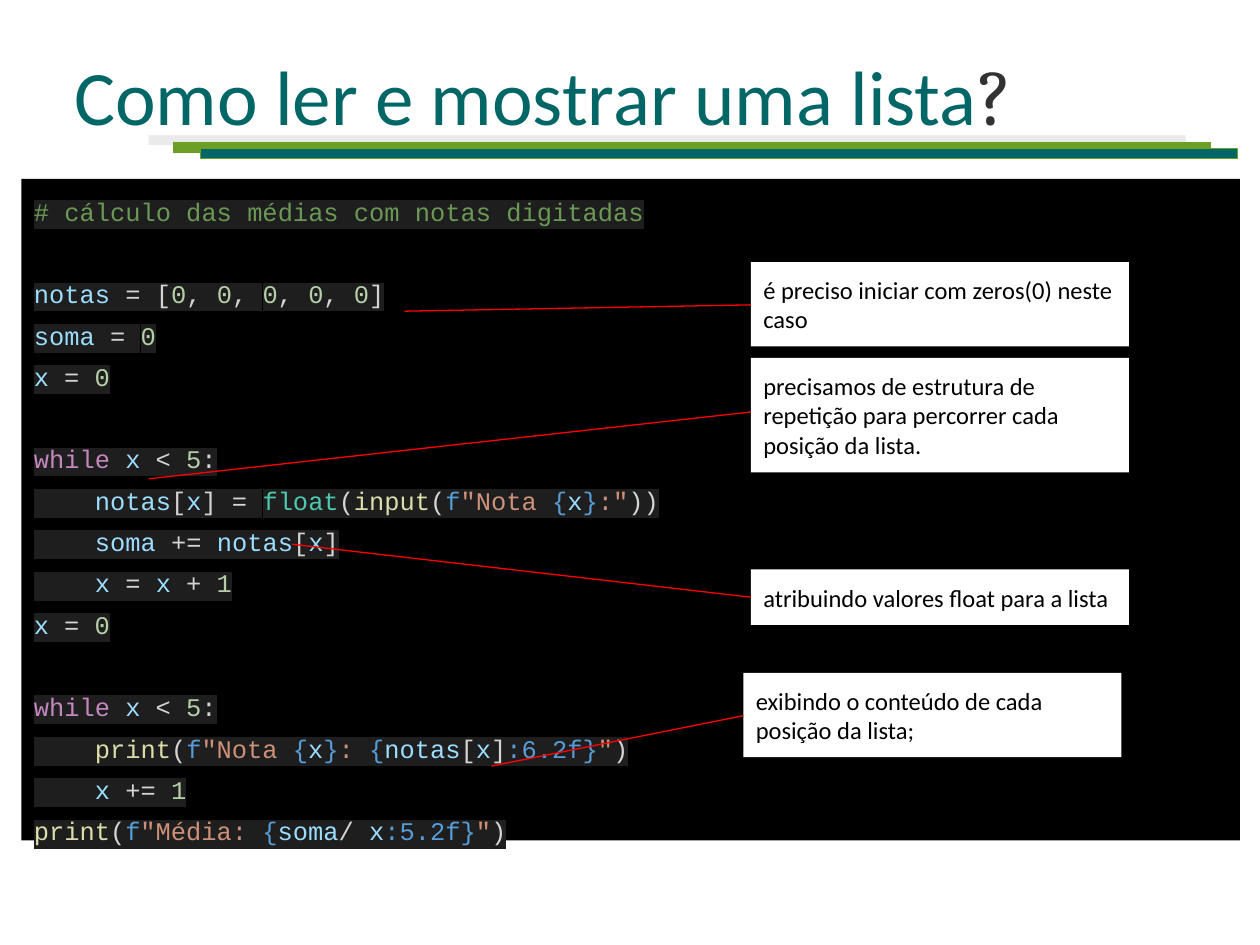
"""Builds the slide on reading and showing a list in Python."""
from lxml import etree
from pptx import Presentation
from pptx import util as u
from pptx.dml.color import RGBColor
from pptx.enum import shapes, text
from pptx.oxml.ns import qn

COLORS = {
    "teal": "006666", "green": "6B9F25", "grey": "EAEAEA", "dark": "323232",
    "black": "000000", "white": "FFFFFF", "red": "FF0000", "shade": "1E1E1E",
    "comment": "6A9955", "var": "9CDCFE", "plain": "D4D4D4", "num": "B5CEA8",
    "key": "C586C0", "type": "4EC9B0", "func": "DCDCAA", "fmt": "569CD6",
    "str": "CE9178",
}

TITLE = [
    ("Como ler e mostrar uma lista", dict(size=44, font="Calibri", color="teal")),
    ("?", dict(size=46, font="Cambria", color="dark")),
]

BARS = [(1.18, 1.07, "grey", None), (1.38, 1.13, "green", "green"),
        (1.59, 1.18, "teal", "green")]

INDENT = ("plain", "    ")
RESET = [("var", "x"), ("plain", " = "), ("num", "0")]
LOOP = [("key", "while"), ("plain", " "), ("var", "x"), ("plain", " < "),
        ("num", "5"), ("plain", ":")]
ITEM = [("var", "notas"), ("plain", "["), ("var", "x")]
PROMPT = [("fmt", "f"), ("str", '"Nota '), ("fmt", "{"), ("var", "x"), ("fmt", "}")]
ZEROS = [("num", "0"), ("plain", ", ")] * 4 + [("num", "0")]

CODE_BLOCKS = [
    [[("comment", "# cálculo das médias com notas digitadas")]],
    [
        [("var", "notas"), ("plain", " = ["), *ZEROS, ("plain", "]")],
        [("var", "soma"), ("plain", " = "), ("num", "0")],
        RESET,
    ],
    [
        LOOP,
        [INDENT, *ITEM, ("plain", "] = "), ("type", "float"), ("plain", "("),
         ("func", "input"), ("plain", "("), *PROMPT, ("str", ':"'), ("plain", "))")],
        [INDENT, ("var", "soma"), ("plain", " += "), *ITEM, ("plain", "]")],
        [INDENT, ("var", "x"), ("plain", " = "), ("var", "x"), ("plain", " + "),
         ("num", "1")],
        RESET,
    ],
    [
        LOOP,
        [INDENT, ("func", "print"), ("plain", "("), *PROMPT, ("str", ": "),
         ("fmt", "{"), *ITEM, ("plain", "]"), ("fmt", ":6.2f}"), ("str", '"'),
         ("plain", ")")],
        [INDENT, ("var", "x"), ("plain", " += "), ("num", "1")],
        [("func", "print"), ("plain", "("), ("fmt", "f"), ("str", '"Média: '),
         ("fmt", "{"), ("var", "soma"), ("plain", "/ "), ("var", "x"),
         ("fmt", ":5.2f}"), ("str", '"'), ("plain", ")")],
    ],
]
CODE_SIZE, CODE_SPACING, BLOCK_GAP = 14.5, 1.36, 23.3

CALLOUTS = [
    ("é preciso iniciar com zeros(0) neste caso",
     (5.96, 2.08, 0.67), (3.21, 2.47), 2.42),
    ("precisamos de estrutura de repetição para percorrer cada posição da lista.",
     (5.96, 2.84, 0.91), (1.18, 3.8), 3.27),
    ("exibindo o conteúdo de cada posição da lista;",
     (5.9, 5.34, 0.67), (3.9, 6.08), 5.68),
    ("atribuindo valores float para a lista",
     (5.96, 4.52, 0.44), (2.32, 4.32), 4.74),
]


def rgb(name):
    return RGBColor.from_string(COLORS[name])


def add_text(paragraph, words, size=14, font="Calibri", color="black", highlight=None):
    run = paragraph.add_run()
    run.text = words
    run.font.size = u.Pt(size)
    run.font.name = font
    run.font.color.rgb = rgb(color)
    if highlight:
        mark = etree.Element(qn("a:highlight"))
        etree.SubElement(mark, qn("a:srgbClr")).set("val", COLORS[highlight])
        run.font._element.find(qn("a:solidFill")).addnext(mark)


def set_frame(frame, anchor, inset):
    frame.word_wrap = True
    frame.vertical_anchor = anchor
    frame.margin_left = frame.margin_right = u.Inches(0.1)
    frame.margin_top = frame.margin_bottom = u.Inches(inset)
    frame.paragraphs[0].alignment = text.PP_ALIGN.LEFT


def add_box(slide, place, fill, line=None):
    box = slide.shapes.add_shape(shapes.MSO_SHAPE.RECTANGLE, *map(u.Inches, place))
    box.shadow.inherit = False
    box.fill.solid()
    box.fill.fore_color.rgb = rgb(fill)
    if line:
        box.line.color.rgb = rgb(line)
        box.line.width = u.Pt(0.75)
    else:
        box.line.fill.background()
    return box


def add_title(slide):
    title = slide.shapes.add_textbox(*map(u.Inches, (0.49, 0.32, 8.99, 0.85))).text_frame
    set_frame(title, text.MSO_ANCHOR.BOTTOM, 0.05)
    for words, style in TITLE:
        add_text(title.paragraphs[0], words, **style)


def add_code(slide):
    code = add_box(slide, (0.17, 1.42, 9.67, 5.25), "black").text_frame
    set_frame(code, text.MSO_ANCHOR.TOP, 0.05)
    for block_no, block in enumerate(CODE_BLOCKS):
        for line_no, tokens in enumerate(block):
            first = block_no == line_no == 0
            line = code.paragraphs[0] if first else code.add_paragraph()
            line.alignment = text.PP_ALIGN.LEFT
            line.line_spacing = CODE_SPACING
            if block_no and not line_no:
                line.space_before = u.Pt(BLOCK_GAP)
            for kind, words in tokens:
                add_text(line, words, size=CODE_SIZE, font="Courier New",
                         color=kind, highlight="shade")


def add_callout(slide, words, place, target, pointer_y):
    left, top, height = place
    note = add_box(slide, (left, top, 3, height), "white").text_frame
    set_frame(note, text.MSO_ANCHOR.MIDDLE, 0.1)
    add_text(note.paragraphs[0], words)
    pointer = slide.shapes.add_connector(
        shapes.MSO_CONNECTOR.STRAIGHT, *map(u.Inches, (*target, left, pointer_y)))
    pointer.line.color.rgb = rgb("red")
    pointer.line.width = u.Pt(0.75)
    etree.SubElement(pointer._element.spPr, qn("a:effectLst"))


def main():
    deck = Presentation()
    deck.slide_width, deck.slide_height = u.Inches(10), u.Inches(7.5)
    slide = deck.slides.add_slide(deck.slide_layouts[6])
    for left, top, fill, line in BARS:
        add_box(slide, (left, top, 8.23, 0.08), fill, line)
    add_title(slide)
    add_code(slide)
    for callout in CALLOUTS:
        add_callout(slide, *callout)
    deck.save("out.pptx")


if __name__ == "__main__":
    main()
